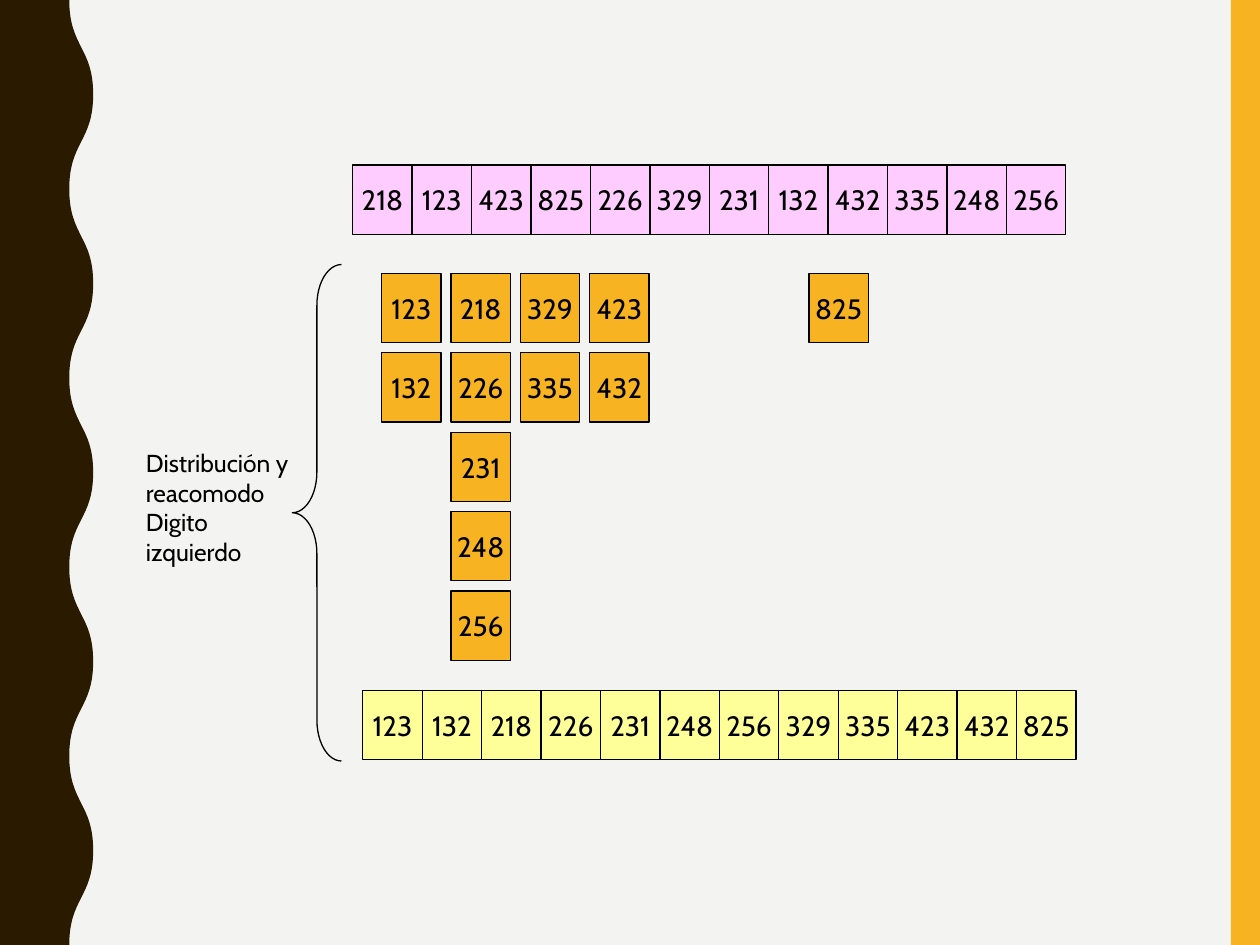
import pptx
import pptx.util
import pptx.dml.color
import pptx.enum.shapes
import pptx.enum.text
import pptx.oxml.ns
import lxml.etree

inch = pptx.util.Inches
kinds = pptx.enum.shapes.MSO_SHAPE
hues = {"back": "F3F3F2", "gold": "F8B323", "brown": "2A1A00",
        "pink": "FFCCFF", "yellow": "FFFF99", "ink": "000000"}
wide, high = 10, 7.5
cell, tall = 5.66 / 12, 0.55
step, drop = 0.55, 0.63

deck = pptx.Presentation()
deck.slide_width, deck.slide_height = inch(wide), inch(high)
slide = deck.slides.add_slide(deck.slide_layouts[6])


def paint(part, hue):
    part.solid()
    part.fore_color.rgb = pptx.dml.color.RGBColor.from_string(hues[hue])


def box(left, top, hue, label):
    shape = slide.shapes.add_shape(kinds.RECTANGLE, inch(left), inch(top),
                                   inch(cell), inch(tall))
    shape.shadow.inherit = False
    paint(shape.fill, hue)
    paint(shape.line.fill, "ink")
    shape.line.width = pptx.util.Pt(0.75)
    frame = shape.text_frame
    frame.word_wrap = False
    frame.vertical_anchor = pptx.enum.text.MSO_ANCHOR.MIDDLE
    para = frame.paragraphs[0]
    para.text = str(label)
    para.alignment = pptx.enum.text.PP_ALIGN.CENTER
    for name, value in {"name": "Cabin", "size": pptx.util.Pt(16)}.items():
        setattr(para.font, name, value)
    paint(para.font.fill, "ink")


paint(slide.background.fill, "back")

band = slide.shapes.add_shape(kinds.RECTANGLE, inch(wide * 0.977), 0,
                              inch(wide * 0.023), inch(high))
band.shadow.inherit = False
paint(band.fill, "gold")
band.line.fill.background()

unit = 1000
low, crest, half = 550, 740, 750
edge = [(crest if turn % 2 else low, turn * half) for turn in range(11)]
pen = slide.shapes.build_freeform(*edge[0], scale=inch(1) / unit)
pen.add_line_segments(edge[1:] + [(0, high * unit), (0, 0)], close=True)
wave = pen.convert_to_shape()
wave.shadow.inherit = False
paint(wave.fill, "brown")
wave.line.fill.background()
qn = pptx.oxml.ns.qn
lines = list(wave.element.iter(qn("a:lnTo")))
for line, old, new in zip(lines, edge, edge[1:]):
    curve = lxml.etree.Element(qn("a:cubicBezTo"))
    mid = (old[1] + new[1]) // 2
    for x, y in ((old[0], mid), (new[0], mid), new):
        lxml.etree.SubElement(curve, qn("a:pt"), x=str(x), y=str(y))
    line.getparent().replace(line, curve)

piles = {3.03: [123, 132], 3.58: [218, 226, 231, 248, 256],
         3.03 + 2 * step: [329, 335], 3.03 + 3 * step: [423, 432], 6.42: [825]}
for left, pile in piles.items():
    for row, label in enumerate(pile):
        box(left, 2.17 + row * drop, "gold", label)

first = [218, 123, 423, 825, 226, 329, 231, 132, 432, 335, 248, 256]
for left, top, hue, row in ((2.8, 1.31, "pink", first),
                            (2.88, 5.48, "yellow", sorted(first))):
    for col, label in enumerate(row):
        box(left + col * cell, top, hue, label)

note = slide.shapes.add_textbox(inch(1.06), inch(3.51), inch(1.42), inch(1.03))
note.text_frame.word_wrap = True
note.text_frame.text = "Distribución y reacomodo\nDigito izquierdo"
for para in note.text_frame.paragraphs:
    for name, value in {"name": "Cabin", "size": pptx.util.Pt(14)}.items():
        setattr(para.font, name, value)
    paint(para.font.fill, "ink")

brace = slide.shapes.add_shape(kinds.LEFT_BRACE, inch(2.32), inch(2.1),
                               inch(0.39), inch(3.94))
brace.shadow.inherit = False
brace.adjustments[0] = 0.83
brace.fill.background()
paint(brace.line.fill, "ink")
brace.line.width = pptx.util.Pt(0.75)

deck.save("out.pptx")
